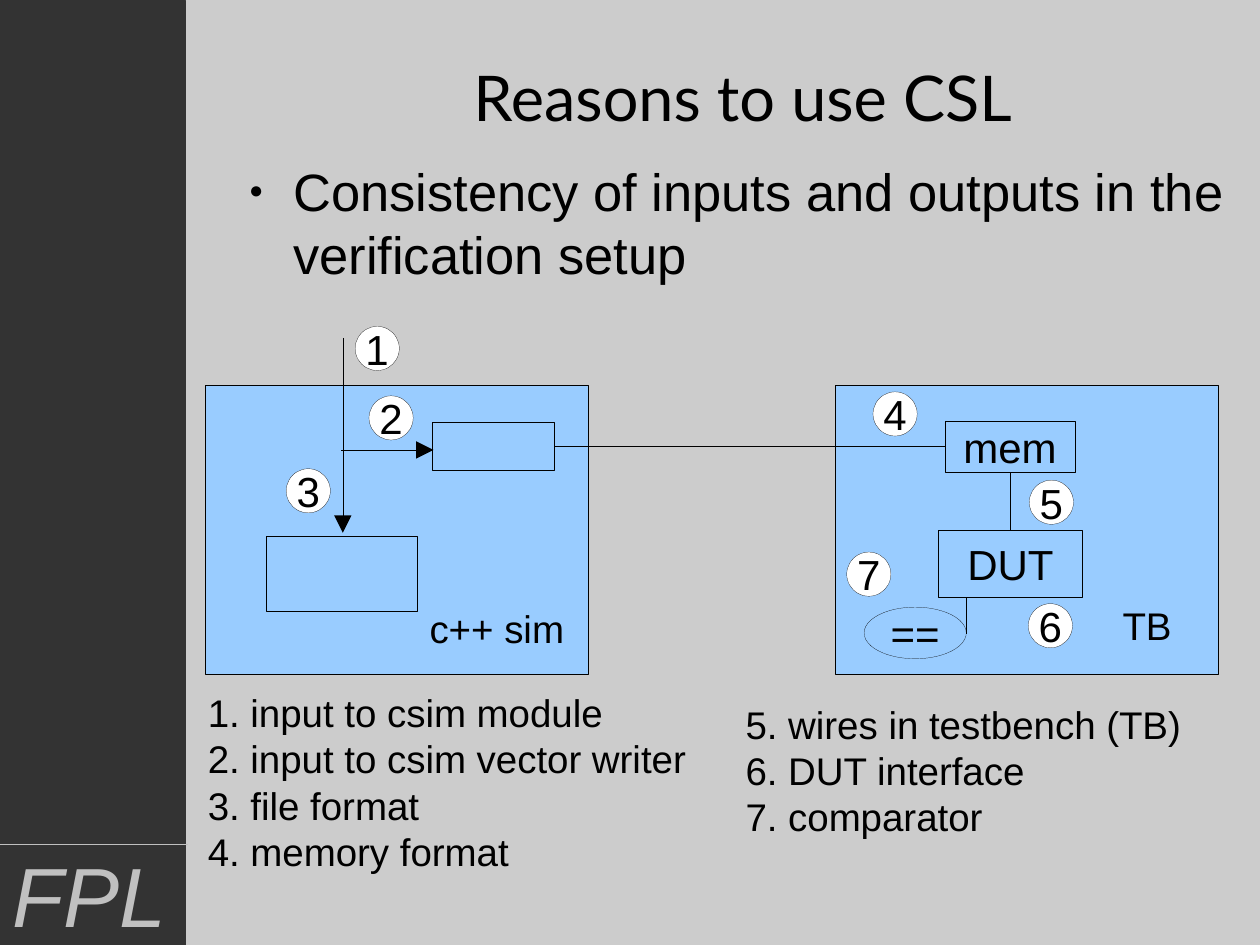
from lxml import etree
from pptx import Presentation
from pptx.dml.color import RGBColor
from pptx.enum.shapes import MSO_CONNECTOR, MSO_SHAPE
from pptx.enum.text import MSO_ANCHOR, MSO_AUTO_SIZE, PP_ALIGN
from pptx.oxml.ns import qn
from pptx.util import Cm, Pt

RECT, OVAL = MSO_SHAPE.RECTANGLE, MSO_SHAPE.OVAL
STRAIGHT, ELBOW = MSO_CONNECTOR.STRAIGHT, MSO_CONNECTOR.ELBOW
MIDDLE, TOP = MSO_ANCHOR.MIDDLE, MSO_ANCHOR.TOP
CENTER, LEFT = PP_ALIGN.CENTER, PP_ALIGN.LEFT
NO_FIT = MSO_AUTO_SIZE.NONE
BLACK, WHITE, BLUE, DARK, SILVER = "000000", "FFFFFF", "99CCFF", "333333", "C0C0C0"
HAIRLINE = Pt(0.1)


def colour(hex_string):
    return RGBColor.from_string(hex_string)


def add_node(kind, box, fill, edge=BLACK, label=""):
    node = slide.shapes.add_shape(kind, *map(Cm, box))
    node.shadow.inherit = False
    node.fill.solid()
    node.fill.fore_color.rgb = colour(fill)
    node.line.color.rgb = colour(edge)
    node.line.width = HAIRLINE
    if label:
        frame = node.text_frame
        frame.margin_left = frame.margin_right = frame.margin_top = frame.margin_bottom = 0
        frame.word_wrap = False
        frame.vertical_anchor = MIDDLE
        frame.text = label
        line = frame.paragraphs[0]
        line.alignment = CENTER
        line.font.size = Pt(24)
        line.font.name = "Arial"
        line.font.color.rgb = colour(BLACK)


prs = Presentation()
prs.slide_width, prs.slide_height = Cm(25.4), Cm(19.05)
slide = prs.slides.add_slide(prs.slide_layouts[1])
slide.background.fill.solid()
slide.background.fill.fore_color.rgb = colour("CCCCCC")

heading, reason = slide.placeholders
for holder, box, text, font, size, anchor, align in [
    (heading, (6.5, 0.3, 16.94, 3.3), "Reasons to use CSL", "Lato", 36, MIDDLE, CENTER),
    (reason, (4.72, 3.2, 20.14, 14.3),
     "Consistency of inputs and outputs in the verification setup", "Arial", 30, TOP, LEFT),
]:
    holder.left, holder.top, holder.width, holder.height = map(Cm, box)
    frame = holder.text_frame
    frame.margin_left = frame.margin_right = frame.margin_top = frame.margin_bottom = 0
    frame.word_wrap = True
    frame.auto_size = NO_FIT
    frame.vertical_anchor = anchor
    frame.text = text
    line = frame.paragraphs[0]
    line.alignment = align
    line.space_before = Pt(0)
    if holder is reason:
        props = line._p.get_or_add_pPr()
        props.set("marL", str(Cm(1.19)))
        props.set("indent", str(Cm(-0.89)))
        bullet_colour = etree.SubElement(props, qn("a:buClr"))
        etree.SubElement(bullet_colour, qn("a:srgbClr"), val=BLACK)
        etree.SubElement(props, qn("a:buSzPct"), val="45000")
        etree.SubElement(props, qn("a:buChar"), char="●")
    line.font.name = font
    line.font.size = Pt(size)
    line.font.color.rgb = colour(BLACK)

add_node(RECT, (0, 0, 3.73, 19.05), DARK, edge=DARK)
for left in (4.14, 16.84):
    add_node(RECT, (left, 7.77, 7.72, 5.82), BLUE)

for kind, box, label in [
    (RECT, (19.05, 8.48, 2.62, 1.04), "mem"),
    (RECT, (18.92, 10.69, 2.9, 1.35), "DUT"),
    (OVAL, (17.42, 12.24, 2.06, 1.04), "=="),
    (RECT, (5.36, 10.8, 3.05, 1.52), ""),
    (RECT, (8.71, 8.51, 2.46, 0.97), ""),
]:
    add_node(kind, box, BLUE, label=label)

for kind, ends, stroke, arrow in [
    (STRAIGHT, (0, 17.02, 3.78, 17.02), SILVER, False),
    (STRAIGHT, (11.18, 8.99, 19.05, 8.99), BLACK, False),
    (STRAIGHT, (20.37, 9.52, 20.37, 10.69), BLACK, False),
    (ELBOW, (20.37, 12.04, 19.48, 12.78), BLACK, False),
    (STRAIGHT, (6.91, 6.81, 6.91, 10.74), BLACK, True),
    (STRAIGHT, (6.88, 9.07, 8.74, 9.07), BLACK, True),
]:
    wire = slide.shapes.add_connector(kind, *map(Cm, ends))
    wire.line.color.rgb = colour(stroke)
    wire.line.width = HAIRLINE
    if arrow:
        etree.SubElement(wire.line._get_or_add_ln(), qn("a:tailEnd"),
                         type="triangle", w="lg", len="lg")
    outline = wire._element.spPr
    if kind == ELBOW:
        outline.find(qn("a:prstGeom")).set("prst", "bentConnector2")
    etree.SubElement(outline, qn("a:effectLst"))

marker_corners = [(7.16, 6.58), (7.44, 7.98), (5.77, 9.45), (17.6, 7.9),
                  (20.75, 9.68), (20.73, 12.17), (17.07, 11.13)]
for number, (left, top) in enumerate(marker_corners, 1):
    add_node(OVAL, (left, top, 0.89, 0.89), WHITE, label=str(number))

for box, lines, size, ink, italic in [
    ((0, 16.89, 4.75, 2.74), ["FPL"], 48, SILVER, True),
    ((3.94, 13.77, 10.16, 4.85),
     ["1. input to csim module", "2. input to csim vector writer",
      "3. file format", "4. memory format"], 22, BLACK, False),
    ((14.78, 14, 9.3, 3.71),
     ["5. wires in testbench (TB)", "6. DUT interface", "7. comparator"], 22, BLACK, False),
    ((8.41, 12.07, 3.23, 1.4), ["c++ sim"], 22, BLACK, False),
    ((22.38, 12.01, 1.93, 1.4), ["TB"], 22, BLACK, False),
]:
    frame = slide.shapes.add_textbox(*map(Cm, box)).text_frame
    frame.word_wrap = False
    frame.text = "\n".join(lines)
    for line in frame.paragraphs:
        line.alignment = LEFT
        line.font.name = "Arial"
        line.font.size = Pt(size)
        line.font.italic = italic
        line.font.color.rgb = colour(ink)

prs.save("out.pptx")
